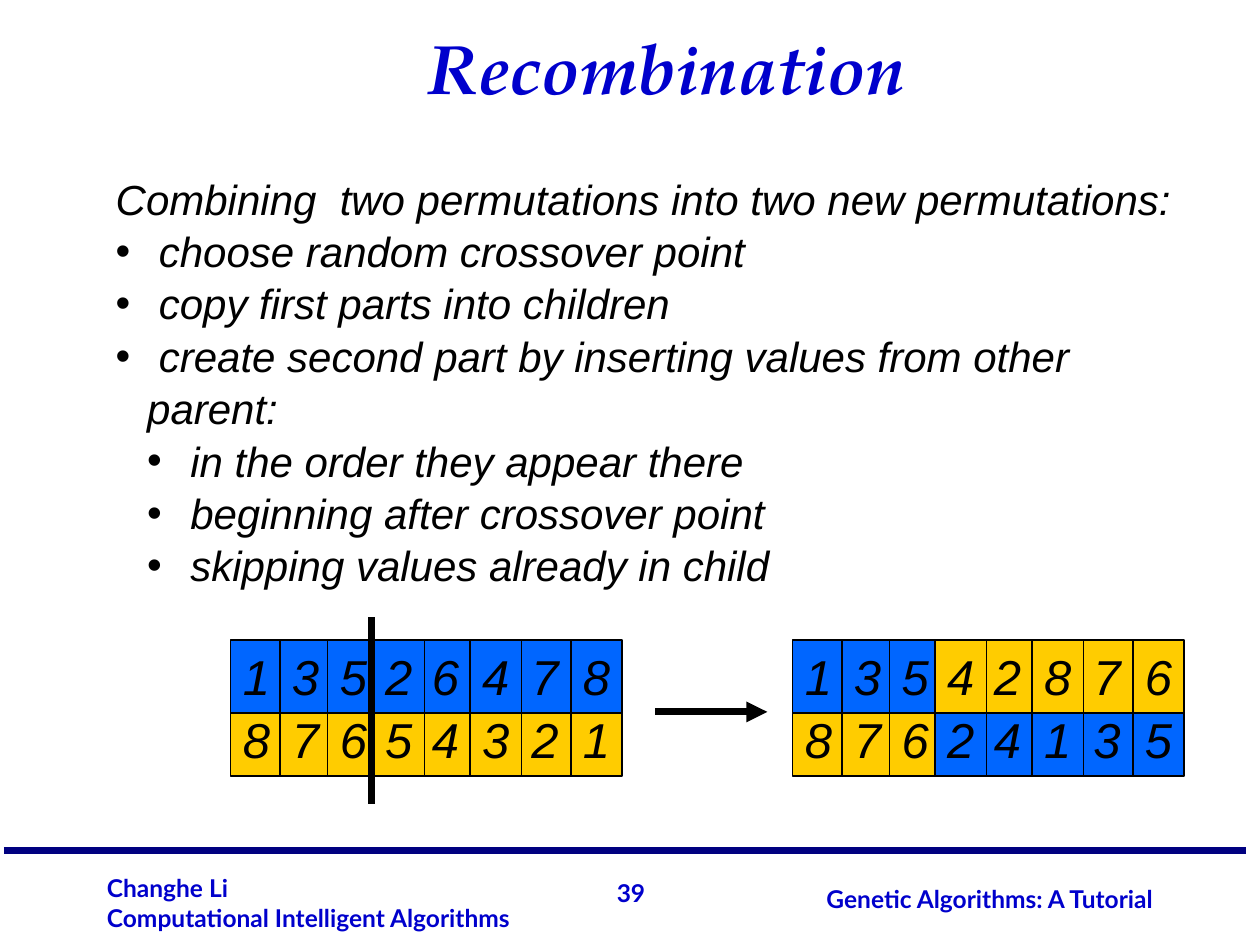
from lxml import etree
from pptx import Presentation
from pptx.dml.color import RGBColor
from pptx.enum.shapes import MSO_CONNECTOR as Connector, MSO_SHAPE as Shape
from pptx.enum.text import MSO_ANCHOR as Anchor, PP_ALIGN as Align
from pptx.oxml.ns import qn
from pptx.util import Emu, Pt

PX = 9144  # 100 px to the inch

TITLE_BLUE = RGBColor(0x00, 0x00, 0xCC)
NAVY = RGBColor(0x00, 0x00, 0x80)
BLACK = RGBColor(0x00, 0x00, 0x00)
BLUE = RGBColor(0x00, 0x66, 0xFF)
GOLD = RGBColor(0xFF, 0xCC, 0x00)

CELL_LEFTS = (0, 39, 77, 113, 150, 190, 229, 270)
DRAW_ORDER = (0, 1, 2, 4, 3, 7, 6, 5)  # neighbours overlap slightly
CELL_WIDTH, CELL_HEIGHT, ROW_PITCH = 41, 58, 50
CROSSOVER = 3

BODY = (
    (None, "Combining  two permutations into two new permutations:"),
    (0, " choose random crossover point"),
    (0, " copy first parts into children"),
    (0, " create second part by inserting values from other parent:"),
    (1, " in the order they appear there"),
    (1, " beginning after crossover point"),
    (1, " skipping values already in child"),
)


def px(*lengths):
    return [Emu(length * PX) for length in lengths]


def add_run(paragraph, text, font_name, size, color, bold=False, italic=False):
    run = paragraph.add_run()
    run.text = text
    font = run.font
    font.name, font.size = font_name, Pt(size)
    font.bold, font.italic = bold, italic
    font.color.rgb = color


def add_text_box(slide, box, anchor=Anchor.TOP, wrap=True):
    frame = slide.shapes.add_textbox(*px(*box)).text_frame
    frame.word_wrap = wrap
    frame.vertical_anchor = anchor
    return frame


def next_paragraph(frame, index):
    return frame.add_paragraph() if index else frame.paragraphs[0]


def add_line(slide, ends, color, width, arrow=False):
    connector = slide.shapes.add_connector(Connector.STRAIGHT, *px(*ends))
    connector.line.color.rgb = color
    connector.line.width = Pt(width)
    if arrow:
        line = connector.line._get_or_add_ln()
        etree.SubElement(line, qn("a:tailEnd"), type="triangle")
    etree.SubElement(connector._element.spPr, qn("a:effectLst"))


def add_bullet(paragraph, level):
    """Hang a bullet a quarter inch before the text."""
    properties = paragraph._p.get_or_add_pPr()
    left, indent = px(25 * (level + 1), -25)
    properties.set("marL", str(left))
    properties.set("indent", str(indent))
    etree.SubElement(properties, qn("a:buFont"), typeface="Arial")
    etree.SubElement(properties, qn("a:buChar"), char="•")
    paragraph.level = level


def add_footer_text(slide, box, lines, align=Align.LEFT, wrap=True):
    frame = add_text_box(slide, box, Anchor.MIDDLE, wrap)
    for index, text in enumerate(lines):
        paragraph = next_paragraph(frame, index)
        paragraph.alignment = align
        add_run(paragraph, text, "Lato", 14, TITLE_BLUE, bold=True)


def add_footer(slide, left, top):
    add_footer_text(slide, (left + 476, top + 17, 43, 33), ["39"],
                    Align.RIGHT, wrap=False)
    add_footer_text(slide, (left + 72, top + 13, 375, 57),
                    ["Changhe Li", "Computational Intelligent Algorithms"])
    add_line(slide, (left, top, left + 986, top), NAVY, 4.5)
    add_footer_text(slide, (left + 589, top + 22, 333, 33),
                    ["Genetic Algorithms: A Tutorial"], Align.RIGHT)


def add_title(slide, box):
    paragraph = add_text_box(slide, box).paragraphs[0]
    paragraph.alignment = Align.CENTER
    paragraph.line_spacing = 1.5
    add_run(paragraph, "Recombination", "TeX Gyre Pagella", 40, TITLE_BLUE,
            bold=True, italic=True)


def add_body(slide, box):
    frame = add_text_box(slide, box)
    for index, (level, text) in enumerate(BODY):
        paragraph = next_paragraph(frame, index)
        paragraph.line_spacing = 1.04
        if level is not None:
            add_bullet(paragraph, level)
        add_run(paragraph, text, "Arial", 24, BLACK, italic=True)


def add_cell(slide, box, digit, color):
    cell = slide.shapes.add_shape(Shape.RECTANGLE, *px(*box))
    cell.shadow.inherit = False
    cell.fill.solid()
    cell.fill.fore_color.rgb = color
    cell.line.color.rgb = BLACK
    cell.line.width = Pt(1)
    frame = cell.text_frame
    frame.word_wrap = False
    frame.vertical_anchor = Anchor.TOP
    paragraph = frame.paragraphs[0]
    paragraph.alignment = Align.CENTER
    add_run(paragraph, digit, "Arial", 28, BLACK, italic=True)


def add_permutations(slide, left, top, rows):
    """Draw (digits, head color, tail color) rows, the upper one in front."""
    for row, (digits, head, tail) in reversed(list(enumerate(rows))):
        for column in DRAW_ORDER:
            box = (left + CELL_LEFTS[column], top + row * ROW_PITCH,
                   CELL_WIDTH, CELL_HEIGHT)
            add_cell(slide, box, digits[column],
                     head if column < CROSSOVER else tail)


def add_crossover_diagram(slide, left, top):
    add_line(slide, (left + 337, top + 57, left + 426, top + 57), BLACK, 4,
             arrow=True)
    add_permutations(slide, left + 446, top,
                     [("13542876", BLUE, GOLD), ("87624135", GOLD, BLUE)])
    add_permutations(slide, left, top,
                     [("13526478", BLUE, BLUE), ("87654321", GOLD, GOLD)])
    add_line(slide, (left + 112, top - 18, left + 112, top + 130), BLACK, 4)


def main():
    presentation = Presentation()
    presentation.slide_width, presentation.slide_height = px(1000, 750)
    slide = presentation.slides.add_slide(presentation.slide_layouts[6])
    add_footer(slide, 3, 675)
    add_title(slide, (75, -19, 908, 102))
    add_body(slide, (82, 131, 877, 333))
    add_crossover_diagram(slide, 183, 508)
    presentation.save("out.pptx")


if __name__ == "__main__":
    main()
